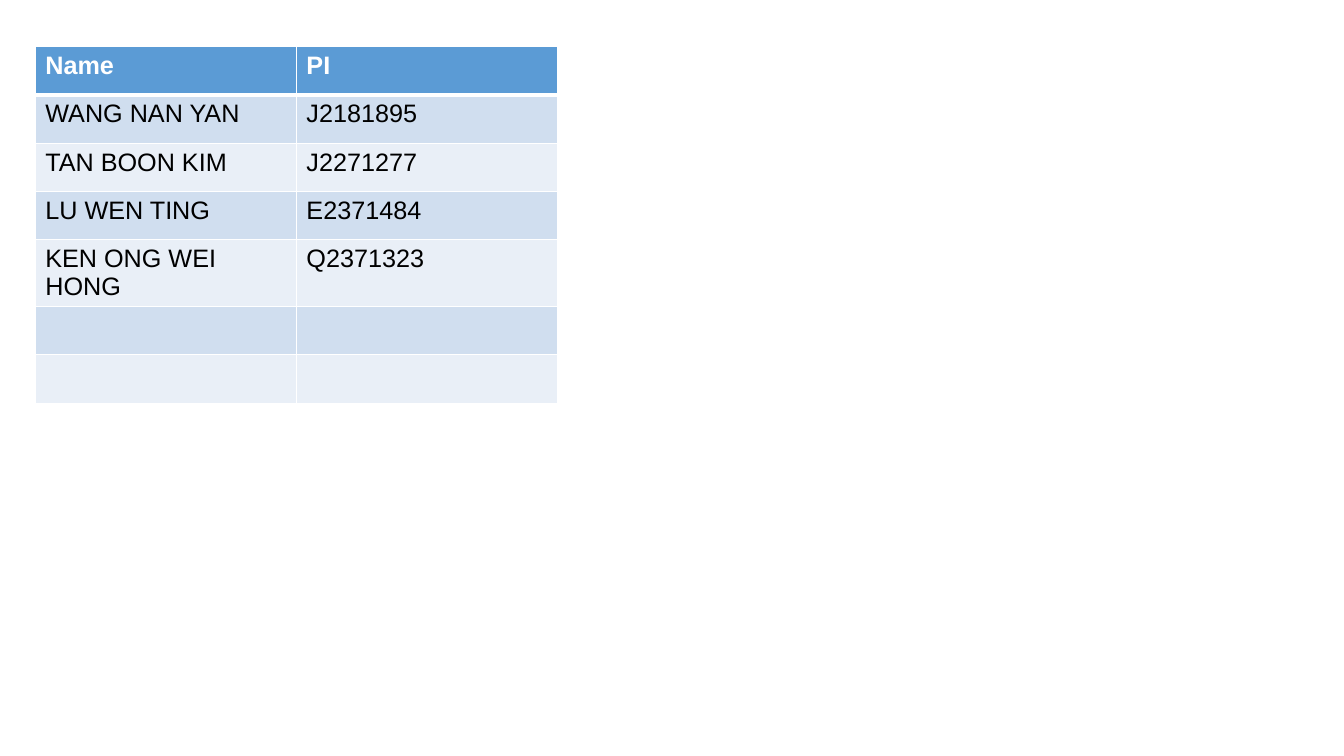
import pptx
import pptx.util
import pptx.dml.color
import pptx.oxml
import pptx.oxml.ns

Inches, Pt = pptx.util.Inches, pptx.util.Pt
RGBColor = pptx.dml.color.RGBColor

ROWS = [
    ("Name", "PI"),
    ("WANG NAN YAN", "J2181895"),
    ("TAN BOON KIM", "J2271277"),
    ("LU WEN TING", "E2371484"),
    ("KEN ONG WEI HONG", "Q2371323"),
    ("", ""),
    ("", ""),
]
COLORS = {
    "header": "5B9BD5",
    "odd": "D0DEEF",
    "even": "E9EFF7",
    "header_text": "FFFFFF",
    "text": "000000",
    "border": "FFFFFF",
}
LEFT, TOP = 0.35, 0.46
COL_W, ROW_H = 2.59, 0.48
FONT, SIZE = "Arial", 18
THIN, THICK = 1, 3


def set_borders(cell, top, bottom):
    """Draw all four cell edges; top and bottom are widths in points."""
    tc_pr = cell._tc.get_or_add_tcPr()
    for side, width in (("L", THIN), ("R", THIN), ("T", top), ("B", bottom)):
        tc_pr.append(pptx.oxml.parse_xml(
            f'<a:ln{side} {pptx.oxml.ns.nsdecls("a")} w="{Pt(width)}"><a:solidFill>'
            f'<a:srgbClr val="{COLORS["border"]}"/></a:solidFill></a:ln{side}>'))


def fill_cell(cell, text, row):
    header = row == 0
    set_borders(cell, THICK if row == 1 else THIN, THICK if header else THIN)
    band = "header" if header else "odd" if row % 2 else "even"
    cell.fill.solid()
    cell.fill.fore_color.rgb = RGBColor.from_string(COLORS[band])
    p = cell.text_frame.paragraphs[0]
    p.font.size = Pt(SIZE)
    if text:
        r = p.add_run()
        r.text = text
        r.font.name = FONT
        r.font.size = Pt(SIZE)
        r.font.bold = header
        r.font.color.rgb = RGBColor.from_string(COLORS["header_text" if header else "text"])


def main():
    prs = pptx.Presentation()
    prs.slide_width, prs.slide_height = Inches(13.33), Inches(7.5)
    s = prs.slides.add_slide(prs.slide_layouts[6])
    n_rows, n_cols = len(ROWS), len(ROWS[0])
    table = s.shapes.add_table(n_rows, n_cols, Inches(LEFT), Inches(TOP),
                               Inches(COL_W * n_cols), Inches(ROW_H * n_rows)).table
    for column in table.columns:
        column.width = Inches(COL_W)
    for i, values in enumerate(ROWS):
        table.rows[i].height = Inches(ROW_H)
        for j, text in enumerate(values):
            fill_cell(table.cell(i, j), text, i)
    prs.save("out.pptx")


if __name__ == "__main__":
    main()
